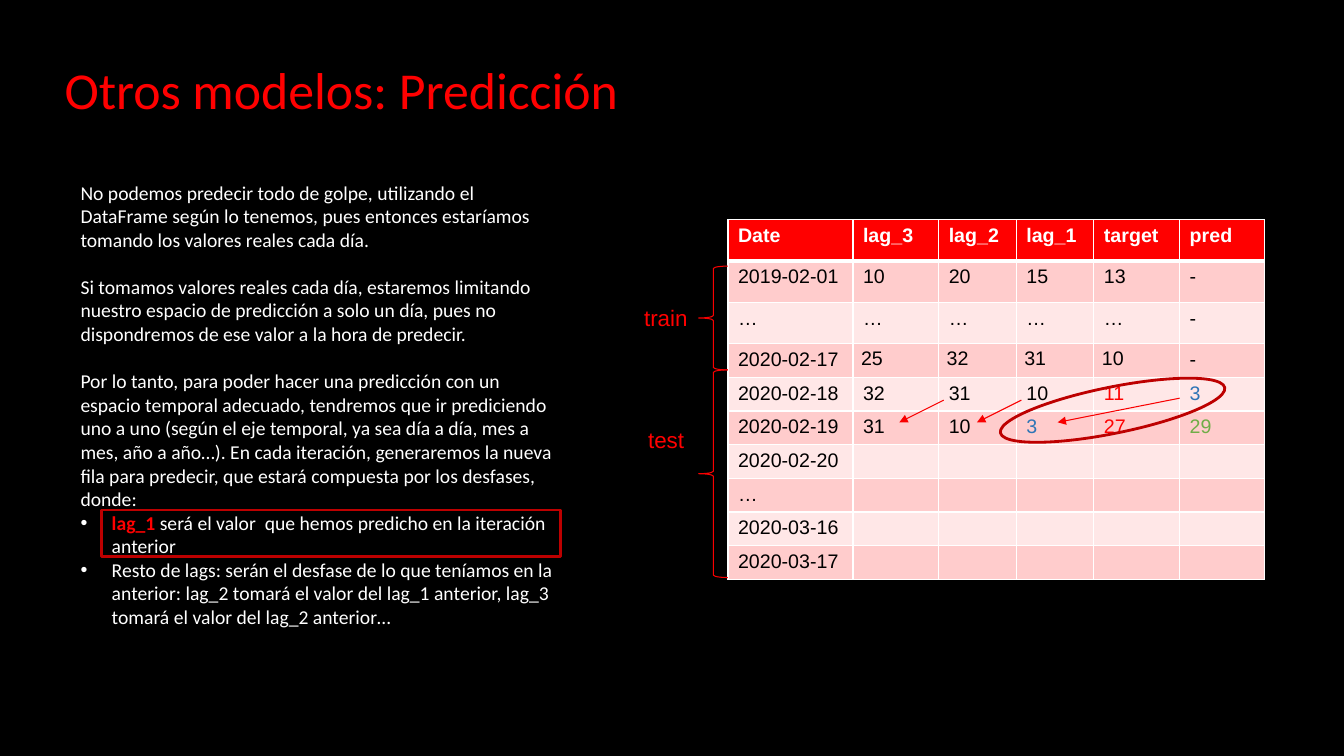
from dataclasses import dataclass

from lxml import etree
from pptx import Presentation
from pptx import util as u
from pptx.dml.color import RGBColor
from pptx.enum import shapes, text
from pptx.oxml.ns import qn

RED, DARK_RED, LINE_RED = "FF0000", "BD0000", "F90000"
WHITE, BLACK, BLUE, GREEN = "FFFFFF", "000000", "2E75B6", "70AD47"
BANDS = ("FFCCCC", "FFE7E7")
HEADER_HEIGHT, ROW_COUNT, TABLE_TOP = 0.41, 10, 2.18
BRACE = shapes.MSO_SHAPE.LEFT_BRACE


@dataclass
class Outline:
    kind: shapes.MSO_SHAPE
    place: tuple[float, float, float, float]
    color: str
    width: float
    rotation: float = 0


@dataclass
class Label:
    words: str
    place: tuple[float, float, float, float]


@dataclass
class Arrow:
    start: tuple[float, float]
    end: tuple[float, float]


@dataclass
class Grid:
    left: float
    widths: list[float]
    body_height: float  # height of each row after the first three
    rows: list[list[str]]
    accents: dict[tuple[int, int], str]
    tight: set[tuple[int, int]]  # cells with smaller margins


INTRO = [
    "No podemos predecir todo de golpe, utilizando el DataFrame según lo tenemos, pues entonces "
    "estaríamos tomando los valores reales cada día.",
    "Si tomamos valores reales cada día, estaremos limitando nuestro espacio de predicción a solo "
    "un día, pues no dispondremos de ese valor a la hora de predecir.",
    "Por lo tanto, para poder hacer una predicción con un espacio temporal adecuado, tendremos que "
    "ir prediciendo uno a uno (según el eje temporal, ya sea día a día, mes a mes, año a año…). En "
    "cada iteración, generaremos la nueva fila para predecir, que estará compuesta por los "
    "desfases, donde:",
]
BULLETS = [
    [("lag_1 ", RED, True),
     ("será el valor  que hemos predicho en la iteración anterior", WHITE, False)],
    [("Resto de lags: serán el desfase de lo que teníamos en la anterior: lag_2 tomará el valor "
      "del lag_1 anterior, lag_3 tomará el valor del lag_2 anterior…", WHITE, False)],
]
GRIDS = [
    Grid(7.22, [1.24, 0.85, 0.77, 0.77, 0.85], 0.32, [
        ["Date", "lag_3", "lag_2", "lag_1", "target"],
        ["2019-02-01", "10", "20", "15", "13"],
        ["…"] * 5,
        ["2020-02-17", "25", "32", "31", "10"],
        ["2020-02-18", "32", "31", "10", "11"],
        ["2020-02-19", "31", "10", "3", "27"],
        ["2020-02-20"], ["…"], ["2020-03-16"], ["2020-03-17"],
    ], {(4, 4): RED, (5, 3): BLUE, (5, 4): RED}, {(3, column) for column in range(1, 5)}),
    Grid(11.7, [0.84], (3.55 - 3 * HEADER_HEIGHT) / 7,
         [["pred"], ["-"], ["-"], ["-"], ["3"], ["29"], [], [], [], []],
         {(4, 0): BLUE, (5, 0): GREEN}, set()),
]
BRACES = [
    Outline(BRACE, (6.93, 2.64, 0.29, 1.03), LINE_RED, 0.75),
    Outline(BRACE, (6.93, 3.67, 0.29, 2.06), LINE_RED, 0.75),
]
LABELS = [Label("train", (6.29, 2.97, 0.64, 0.37)), Label("test", (6.33, 4.18, 0.56, 0.37))]
ARROWS = [
    Arrow((11.7, 3.95), (10.49, 4.19)),
    Arrow((10.13, 3.97), (9.69, 4.19)),
    Arrow((9.36, 3.97), (8.92, 4.19)),
]
HIGHLIGHTS = [
    Outline(shapes.MSO_SHAPE.RECTANGLE, (1.01, 5.06, 4.55, 0.46), DARK_RED, 2),
    Outline(shapes.MSO_SHAPE.OVAL, (9.9, 3.84, 2.27, 0.46), DARK_RED, 2, 348.6),
]


def inches(values) -> list[u.Length]:
    return [u.Inches(value) for value in values]


def apply(target, **formats) -> None:
    for name, value in formats.items():
        setattr(target, name, value)


def paint(color_format, color: str) -> None:
    color_format.rgb = RGBColor.from_string(color)


def add_span(para, words: str, color: str, font: str, size: float, bold: bool = False) -> None:
    span = para.add_run()
    span.text = words
    apply(span.font, name=font, size=u.Pt(size), bold=bold)
    paint(span.font.color, color)


def add_bullet(para) -> None:
    properties = para._p.get_or_add_pPr()
    properties.set("marL", str(u.Inches(0.31)))
    properties.set("indent", str(u.Inches(-0.31)))
    bullet_color = etree.SubElement(properties, qn("a:buClr"))
    etree.SubElement(bullet_color, qn("a:srgbClr"), val=WHITE)
    etree.SubElement(properties, qn("a:buFont"), typeface="Arial")
    etree.SubElement(properties, qn("a:buChar"), char="•")


def add_explanation(page) -> None:
    frame = page.shapes.add_textbox(*inches((0.7, 1.69, 4.99, 5.19))).text_frame
    margin = u.Inches(0.1)
    apply(frame, word_wrap=True, margin_left=margin, margin_right=margin,
          margin_top=margin, margin_bottom=margin)
    paragraphs = [[(words, WHITE, False)] for words in INTRO] + BULLETS
    for index, spans in enumerate(paragraphs):
        para = frame.add_paragraph() if index else frame.paragraphs[0]
        if index >= len(INTRO):
            add_bullet(para)
        elif index:
            para.space_before = u.Pt(17)
        for words, color, bold in spans:
            add_span(para, words, color, "Calibri", 14, bold)


def add_borders(cell, row: int) -> None:
    thick_side = {0: "B", 1: "T"}.get(row)
    for position, side in enumerate("LRTB"):
        width = u.Pt(3 if side == thick_side else 1)
        border = etree.Element(qn(f"a:ln{side}"), w=str(width))
        fill = etree.SubElement(border, qn("a:solidFill"))
        etree.SubElement(fill, qn("a:srgbClr"), val=WHITE)
        cell._tc.get_or_add_tcPr().insert(position, border)


def add_grid(page, grid: Grid) -> None:
    heights = [HEADER_HEIGHT] * 3 + [grid.body_height] * (ROW_COUNT - 3)
    place = inches((grid.left, TABLE_TOP, sum(grid.widths), sum(heights)))
    table = page.shapes.add_table(ROW_COUNT, len(grid.widths), *place).table
    for column, width in zip(table.columns, grid.widths):
        column.width = u.Inches(width)
    for row, height in enumerate(heights):
        table.rows[row].height = u.Inches(height)
        for column in range(len(grid.widths)):
            cell = table.cell(row, column)
            cell.fill.solid()
            paint(cell.fill.fore_color, BANDS[(row - 1) % 2] if row else RED)
            add_borders(cell, row)
            if (row, column) in grid.tight:
                apply(cell, margin_left=u.Inches(0.08), margin_right=u.Inches(0.08),
                      margin_top=u.Inches(0.04), margin_bottom=u.Inches(0.04))
            para = cell.text_frame.paragraphs[0]
            if column < len(grid.rows[row]):
                color = grid.accents.get((row, column), BLACK if row else WHITE)
                add_span(para, grid.rows[row][column], color, "Arial", 14, row == 0)
            else:
                etree.SubElement(para._p, qn("a:endParaRPr"), sz="1400")


def add_outline(page, outline: Outline) -> None:
    shape = page.shapes.add_shape(outline.kind, *inches(outline.place))
    shape.shadow.inherit = False
    shape.fill.background()
    apply(shape, rotation=outline.rotation)
    paint(shape.line.color, outline.color)
    shape.line.width = u.Pt(outline.width)


def add_label(page, label: Label) -> None:
    frame = page.shapes.add_textbox(*inches(label.place)).text_frame
    apply(frame, word_wrap=False, auto_size=text.MSO_AUTO_SIZE.SHAPE_TO_FIT_TEXT)
    add_span(frame.paragraphs[0], label.words, RED, "Arial", 16)


def add_arrow(page, arrow: Arrow) -> None:
    line = page.shapes.add_connector(shapes.MSO_CONNECTOR.STRAIGHT,
                                     *inches(arrow.start + arrow.end))
    paint(line.line.color, LINE_RED)
    line.line.width = u.Pt(0.75)
    etree.SubElement(line.line._get_or_add_ln(), qn("a:tailEnd"), type="triangle")
    etree.SubElement(line._element.spPr, qn("a:effectLst"))


def add_title(page) -> None:
    title = page.shapes.title
    left, top, width, height = inches((0.54, 0.35, 11.5, 1.14))
    apply(title, left=left, top=top, width=width, height=height)
    apply(title.text_frame, vertical_anchor=text.MSO_ANCHOR.MIDDLE, word_wrap=True,
          auto_size=text.MSO_AUTO_SIZE.NONE)
    para = title.text_frame.paragraphs[0]
    apply(para, alignment=text.PP_ALIGN.LEFT, line_spacing=0.9)
    add_span(para, "Otros modelos: Predicción", RED, "Calibri", 37)


def main() -> None:
    deck = Presentation()
    apply(deck, slide_width=u.Inches(13.33), slide_height=u.Inches(7.5))
    page = deck.slides.add_slide(deck.slide_layouts[5])
    page.background.fill.solid()
    paint(page.background.fill.fore_color, BLACK)

    # Title and explanation
    add_title(page)
    add_explanation(page)
    # Data tables with their train and test ranges
    for grid in GRIDS:
        add_grid(page, grid)
    for brace in BRACES:
        add_outline(page, brace)
    for label in LABELS:
        add_label(page, label)
    # Flow of predicted values into the next row
    for arrow in ARROWS:
        add_arrow(page, arrow)
    for highlight in HIGHLIGHTS:
        add_outline(page, highlight)
    deck.save("out.pptx")


if __name__ == "__main__":
    main()
